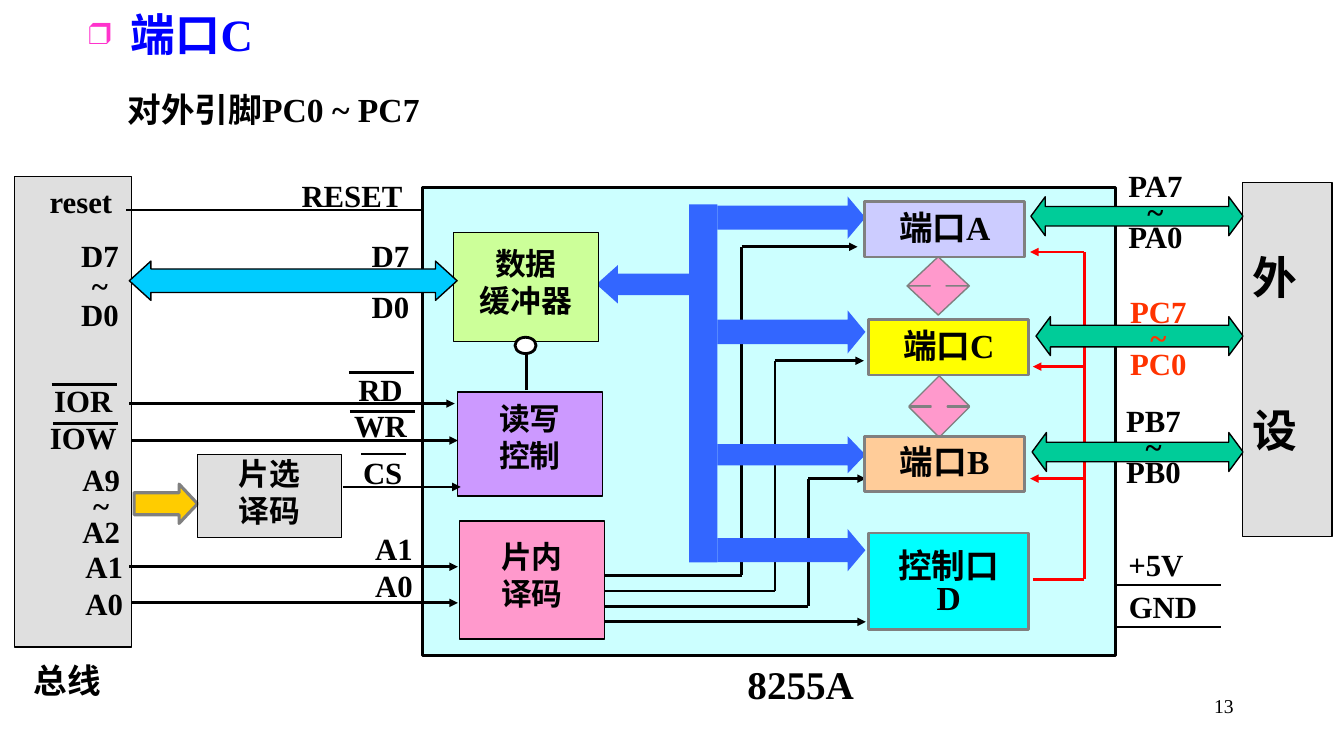
from dataclasses import dataclass
from typing import Any

from lxml.etree import SubElement
from pptx import Presentation
from pptx.dml.color import RGBColor
from pptx.enum.shapes import MSO_CONNECTOR, MSO_SHAPE
from pptx.enum.text import MSO_ANCHOR, PP_ALIGN
from pptx.oxml.ns import qn
from pptx.util import Cm, Pt


@dataclass(frozen=True)
class Theme:
    font: str = "Times New Roman"
    black: str = "000000"
    gray: str = "808080"
    silver: str = "C0C0C0"
    white: str = "FFFFFF"
    title: str = "0000FF"
    bullet: str = "FF33CC"
    chip: str = "CCFFFF"
    data_bus: str = "3366FF"
    signal_bus: str = "00CCFF"
    pins: str = "00CC99"
    pink: str = "FF99CC"
    gold: str = "FFCC00"
    red: str = "FF0000"
    highlight: str = "FF3300"
    buffer: str = "CCFF99"
    read_write: str = "CC99FF"
    port_a: str = "CCCCFF"
    port_b: str = "FFCC99"
    port_c: str = "FFFF00"
    port_d: str = "00FFFF"
    big: int = 32
    chip_name: int = 28
    body: int = 24
    label: int = 22
    number: int = 14


T = Theme()
LEFT, CENTER, RIGHT = PP_ALIGN.LEFT, PP_ALIGN.CENTER, PP_ALIGN.RIGHT


def color(value):
    return RGBColor.from_string(value)


def write(sp, text, size=T.label, fill=T.black, bold=True, align=CENTER,
          spacing=1.0, gap=0, margins=(0, 0, 0, 0)):
    """Fill a shape with one paragraph per line; margins are left, top, right, bottom in cm."""
    tf = sp.text_frame
    tf.word_wrap = True
    tf.vertical_anchor = MSO_ANCHOR.TOP
    tf.margin_left, tf.margin_top, tf.margin_right, tf.margin_bottom = map(Cm, margins)
    for i, line in enumerate(text.split("\n")):
        p = tf.add_paragraph() if i else tf.paragraphs[0]
        p.alignment, p.line_spacing = align, spacing
        p.space_before = Pt(gap if i else 0)
        r = p.add_run()
        r.text = line
        f = r.font
        f.name, f.size, f.bold = T.font, Pt(size), bold
        f.color.rgb = color(fill)


@dataclass
class Region:
    """A box on the slide; its parts are placed in cm from its top left corner."""
    s: Any
    x: float
    y: float
    w: float
    h: float

    def shape(self, kind, x, y, w, h, fill, line=None, width=1, adj=(), alpha=None):
        sp = self.s.shapes.add_shape(kind, Cm(self.x + x), Cm(self.y + y), Cm(w), Cm(h))
        sp.shadow.inherit = False
        sp.fill.solid()
        sp.fill.fore_color.rgb = color(fill)
        if alpha:
            clr = sp.fill._xPr.find(".//" + qn("a:srgbClr"))
            SubElement(clr, qn("a:alpha"), val=str(alpha * 1000))
        if line:
            sp.line.color.rgb = color(line)
            sp.line.width = Pt(width)
        else:
            sp.line.fill.background()
        for i, value in enumerate(adj):
            sp.adjustments[i] = value
        return sp

    def block(self, x, y, w, h, fill, text="", line=T.black, width=1, alpha=None, **fmt):
        sp = self.shape(MSO_SHAPE.RECTANGLE, x, y, w, h, fill, line, width, alpha=alpha)
        if text:
            write(sp, text, **fmt)

    def text(self, x, y, w, h, text, **fmt):
        sp = self.s.shapes.add_textbox(Cm(self.x + x), Cm(self.y + y), Cm(w), Cm(h))
        write(sp, text, **fmt)

    def line(self, x1, y1, x2, y2, stroke=T.black, arrow=False):
        ends = (Cm(self.x + x1), Cm(self.y + y1), Cm(self.x + x2), Cm(self.y + y2))
        c = self.s.shapes.add_connector(MSO_CONNECTOR.STRAIGHT, *ends)
        c.line.color.rgb = color(stroke)
        c.line.width = Pt(2)
        if arrow:
            SubElement(c.line._get_or_add_ln(), qn("a:tailEnd"), type="triangle")
        SubElement(c._element.spPr, qn("a:effectLst"))


def heading(box):
    sp = box.s.shapes.title
    sp.left, sp.top, sp.width, sp.height = Cm(box.x), Cm(box.y), Cm(18.06), Cm(1.6)
    pPr = sp.text_frame.paragraphs[0]._p.get_or_add_pPr()
    pPr.set("marL", str(Cm(1.07)))
    pPr.set("indent", str(-Cm(1.07)))
    SubElement(SubElement(pPr, qn("a:buClr")), qn("a:srgbClr"), val=T.bullet)
    SubElement(pPr, qn("a:buSzPct"), val="68000")
    SubElement(pPr, qn("a:buFont"), typeface=T.font)
    SubElement(pPr, qn("a:buChar"), char="❒")
    write(sp, "端口C", size=T.big, fill=T.title, align=LEFT, margins=(0.25, 0.13, 0.25, 0.13))
    box.text(-0.28, 1.85, box.w, 1.5, "对外引脚PC0 ~ PC7", size=T.body, align=LEFT,
             spacing=1.2, margins=(1.52, 0.13, 0.25, 0.13))


def system_bus(box):
    box.block(0, 0, box.w, box.h, T.silver, alpha=50)
    box.text(0.46, 0.15, 2.44, 0.89, "reset")
    box.text(0.94, 1.7, 2.44, 2.11, "D7\n~\nD0", spacing=0.8)
    box.text(0.56, 5.16, 2.36, 1.6, "IOR\nIOW")
    box.text(0.97, 7.42, 2.44, 2.11, "A9\n~\nA2", spacing=0.7)
    box.text(0.3, 9.35, 2.44, 1.88, "A1\nA0", align=RIGHT)
    for x, y in ((0.94, 5.23), (0.97, 6.22)):
        box.line(x, y, x + 1.65, y)
    box.text(-0.08, box.h + 0.2, 2.82, 1.27, "总线", size=T.body, margins=(0, 0.13, 0, 0.13))


def decoder_lines(box):
    """Route the four select lines of the on-chip decoder to the ports."""
    for i, (port_y, end) in enumerate(((1.5, 10.97), (4.37, 11.13), (7.34, 11.18))):
        x, y = 8.05 + 0.84 * i, 9.78 + 0.39 * i
        box.line(4.52, y, x, y)
        box.line(x, y, x, port_y)
        box.line(x, port_y, end, port_y, arrow=True)
    box.line(4.52, 10.95, 11.18, 10.95, arrow=True)


def control_lines(box):
    """Route the red lines from the control port back to the other ports."""
    box.line(16.69, 1.63, 16.69, 9.88, T.red)
    box.line(15.39, 9.88, 16.69, 9.88, T.red)
    for y, end in ((1.63, 15.32), (4.52, 15.39), (7.34, 15.32)):
        box.line(16.69, y, end, y, T.red, arrow=True)


def chip(box):
    box.block(0, 0, box.w, box.h, T.chip, width=2)
    decoder_lines(box)
    box.shape(MSO_SHAPE.LEFT_ARROW, 4.39, 1.96, 2.51, 0.97, T.data_bus, adj=(0.56, 0.56))
    box.shape(MSO_SHAPE.RECTANGLE, 6.73, 0.43, 0.71, 9.02, T.data_bus)
    for y, h in ((0.23, 1.07), (3.1, 1.09), (6.27, 0.94), (8.61, 1.07)):
        box.shape(MSO_SHAPE.RIGHT_ARROW, 7.44, y, 3.73, h, T.data_bus, adj=(0.565, 0.45 / h))
    for x, y, h, fill, text, top in (
            (0.79, 1.14, 2.74, T.buffer, "数据\n缓冲器", 0.3),
            (0.89, 5.16, 2.62, T.read_write, "读写\n控制", 0.2),
            (0.94, 8.41, 2.97, T.pink, "片内\n译码", 0.42)):
        box.block(x, y, 3.65, h, fill, text, margins=(0, top, 0, 0))
    box.line(2.62, 5.11, 2.62, 4.22)
    box.shape(MSO_SHAPE.OVAL, 2.34, 3.78, 0.53, 0.41, T.white, T.black, 2)
    control_lines(box)
    for x, y, w, h, head in ((12.22, 1.75, 1.57, 1.47, 0.25), (12.27, 4.75, 1.52, 1.55, 0.27)):
        box.shape(MSO_SHAPE.UP_DOWN_ARROW, x, y, w, h, T.pink, T.gray, adj=(0.5, head))
    for x, y, h, fill, text, top, spacing in (
            (11.15, 0.36, 1.4, T.port_a, "端口A", 0.41, 0.7),
            (11.25, 3.33, 1.4, T.port_c, "端口C", 0.41, 0.7),
            (11.15, 6.27, 1.4, T.port_b, "端口B", 0.41, 0.7),
            (11.25, 8.71, 2.44, T.port_d, "控制口\nD", 0.5, 0.8)):
        box.block(x, y, 4.04, h, fill, text, T.gray, 2, size=T.body,
                  spacing=spacing, margins=(0, top, 0, 0))
    box.text(6.58, box.h, 5.92, 1.45, "8255A", size=T.chip_name, margins=(0.25, 0.13, 0.25, 0.13))


def signals(box):
    """Draw the wiring between the system bus and the chip."""
    box.text(3.76, 0, 3.86, 0.89, "RESET")
    box.text(5.44, 1.7, 2.44, 2.11, "D7\nD0", spacing=0.8, gap=15)
    box.text(5.23, 4.88, 2.36, 1.6, "RD\nWR")
    box.text(5.64, 6.99, 1.65, 0.89, "CS")
    box.text(4.78, 8.89, 2.44, 1.6, "A1\nA0", align=RIGHT)
    for x, y, w in ((5.61, 4.93, 1.65), (5.64, 5.92, 1.65), (5.92, 6.99, 1.12)):
        box.line(x, y, x + w, y)
    box.shape(MSO_SHAPE.RIGHT_ARROW, 0.2, 7.75, 1.6, 0.99, T.gold, T.gray, 2.25, (0.56, 0.47))
    box.block(1.8, 7.01, 3.63, 2.08, T.silver, "片选\n译码", alpha=50)
    box.line(0, 0.84, 7.42, 0.84)
    box.shape(MSO_SHAPE.LEFT_RIGHT_ARROW, 0.08, 2.13, box.w, 0.99, T.signal_bus, T.black,
              adj=(0.6, 0.55))
    for start, y, end in ((0.08, 5.72, 8.28), (0.15, 6.65, 8.36), (5.46, 7.82, 8.43),
                          (0.08, 9.83, 8.36), (0.13, 10.74, 8.36)):
        box.line(start, y, end, y, arrow=True)


def peripheral(box):
    """Draw the external pins, the power lines and the device."""
    for x, y, text_x, text_y, port, fill, shaft in (
            (0, 0.51, 2.06, 0, "A", T.black, 0.5),
            (0.13, 3.53, 2.13, 3.18, "C", T.highlight, 0.555),
            (0.03, 6.45, 2.01, 5.92, "B", T.black, 0.5)):
        box.shape(MSO_SHAPE.LEFT_RIGHT_ARROW, x, y, 5.35 - x, 0.98, T.pins, T.black,
                  adj=(shaft, 0.37))
        box.text(text_x, text_y, 2.16, 2.54, f"P{port}7\n~\nP{port}0", fill=fill, spacing=0.7)
    for x, y, text in ((1.93, 10.29, "+5V"), (2.11, 11.35, "GND")):
        box.text(x, y - 0.98, 2.44, 0.89, text)
        box.line(2.11, y, 4.78, y)
    box.block(5.33, 0.15, 2.26, 8.92, T.silver, "外\n设", alpha=50, size=T.big, align=LEFT,
              gap=71, margins=(0.25, 1.7, 0.25, 0.13))


def main():
    prs = Presentation()
    prs.slide_width, prs.slide_height = Cm(33.87), Cm(19.05)
    s = prs.slides.add_slide(prs.slide_layouts[5])
    heading(Region(s, 1.98, 0.05, 25.12, 3.35))
    system_bus(Region(s, 0.36, 4.45, 2.95, 11.86))
    chip(Region(s, 10.64, 4.72, 17.48, 11.79))
    signals(Region(s, 3.18, 4.45, 8.26, 11.86))
    peripheral(Region(s, 25.98, 4.45, 7.59, 11.86))
    Region(s, 24.28, 17.35, 7.06, 1.27).text(
        0, 0, 7.06, 1.27, "13", size=T.number, bold=False, align=RIGHT,
        margins=(0.25, 0.13, 0.25, 0.13))
    prs.save("out.pptx")


if __name__ == "__main__":
    main()
